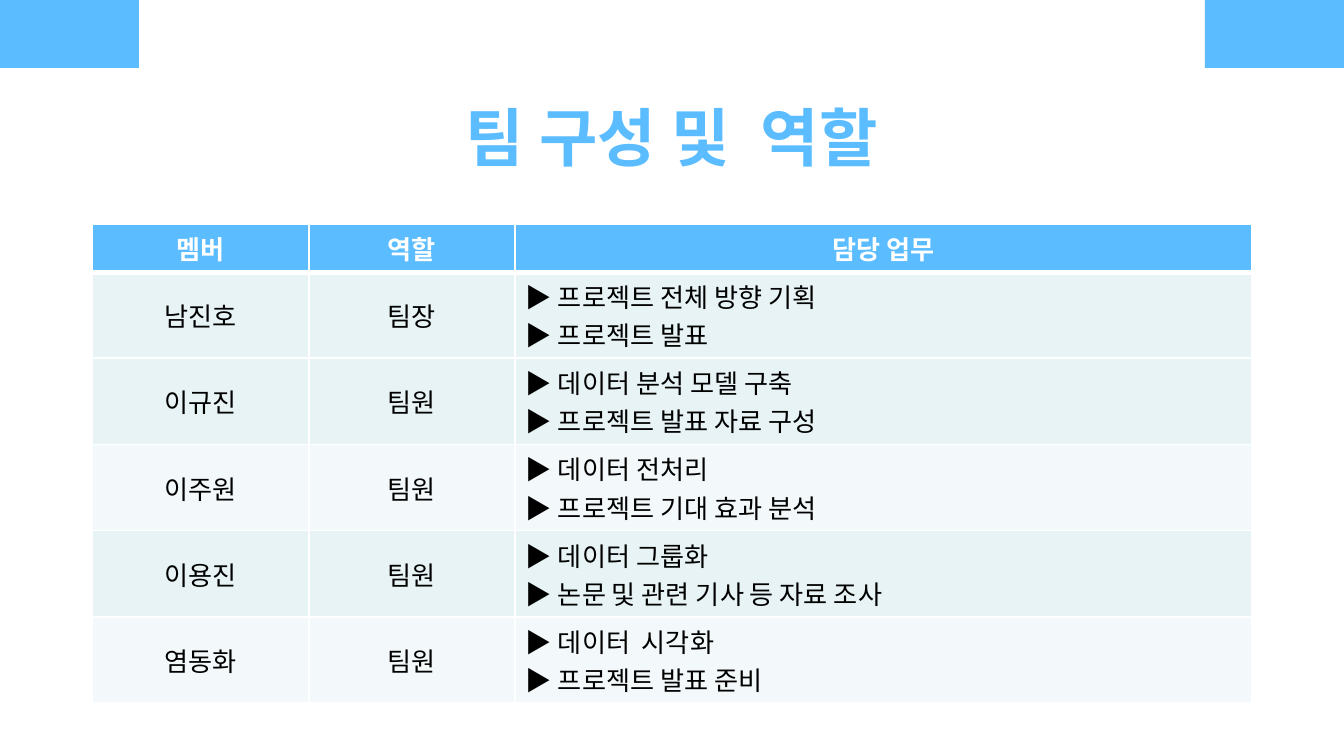
from lxml import etree
from pptx import Presentation
from pptx.dml.color import RGBColor
from pptx.enum.shapes import MSO_SHAPE
from pptx.enum.text import MSO_ANCHOR, MSO_AUTO_SIZE, PP_ALIGN
from pptx.oxml.ns import qn
from pptx.util import Pt

RECT = MSO_SHAPE.RECTANGLE
TOP, MIDDLE = MSO_ANCHOR.TOP, MSO_ANCHOR.MIDDLE
NO_FIT = MSO_AUTO_SIZE.NONE
LEFT, CENTER = PP_ALIGN.LEFT, PP_ALIGN.CENTER

TITLE = "팀 구성 및  역할"
HEADER = ("멤버", "역할", "담당 업무")
MEMBERS = [
    ("남진호", "팀장", ("프로젝트 전체 방향 기획", "프로젝트 발표")),
    ("이규진", "팀원", ("데이터 분석 모델 구축", "프로젝트 발표 자료 구성")),
    ("이주원", "팀원", ("데이터 전처리", "프로젝트 기대 효과 분석")),
    ("이용진", "팀원", ("데이터 그룹화", "논문 및 관련 기사 등 자료 조사")),
    ("염동화", "팀원", ("데이터  시각화", "프로젝트 발표 준비")),
]

THEME = {
    "accent": "5BBDFF", "white": "FFFFFF", "text": "000000",
    "bands": ("E7F3F4", "E7F3F4", "F3F9FA", "E7F3F4", "F3F9FA"),
    "title_font": "Roboto", "body_font": "Noto Sans CJK KR",
    "title_size": 34, "body_size": 14, "thin": 1, "thick": 3,
}

SLIDE_W, SLIDE_H = 1344, 756
TITLE_BOX = (124, 85, 1095, 85)
CORNER_W, CORNER_H = 139, 68
TABLE_X, TABLE_Y = 92, 224
COLS = (217, 206, 737)
HEAD_H, ROW_H = 45, 79
TITLE_INSET, CELL_INSET_X, CELL_INSET_Y = 13, 11, 5


def px(n):
    return round(n * 9144000 / SLIDE_W)


def color(name):
    return RGBColor.from_string(name)


def style(p, align, font, size, fill, bold):
    p.alignment = align
    for r in p.runs:
        r.font.name = font
        r.font.size = Pt(size)
        r.font.bold = bold
        r.font.color.rgb = color(fill)
        etree.SubElement(r.font._element, qn("a:ea"), typeface=font)


def add_borders(cell, row):
    widths = {side: THEME["thin"] for side in ("lnL", "lnR", "lnT", "lnB")}
    if row == 0:
        widths["lnB"] = THEME["thick"]
    elif row == 1:
        widths["lnT"] = THEME["thick"]
    tcPr = cell._tc.get_or_add_tcPr()
    for side, width in widths.items():
        ln = etree.SubElement(tcPr, qn(f"a:{side}"), w=str(Pt(width)))
        fill = etree.SubElement(ln, qn("a:solidFill"))
        etree.SubElement(fill, qn("a:srgbClr"), val=THEME["white"])


def fill_cell(cell, row, lines, align):
    head = row == 0
    cell.margin_left = cell.margin_right = px(CELL_INSET_X)
    cell.margin_top = cell.margin_bottom = px(CELL_INSET_Y)
    cell.vertical_anchor = MIDDLE
    add_borders(cell, row)
    cell.fill.solid()
    cell.fill.fore_color.rgb = color(THEME["accent"] if head else THEME["bands"][row - 1])
    cell.text_frame.text = "\n".join(lines)
    for p in cell.text_frame.paragraphs:
        style(p, align, THEME["body_font"], THEME["body_size"],
              THEME["white"] if head else THEME["text"], head)


def add_title(slide):
    sp = slide.shapes.title
    sp.left, sp.top, sp.width, sp.height = map(px, TITLE_BOX)
    tf = sp.text_frame
    tf.text = TITLE
    tf.word_wrap = True
    tf.auto_size = NO_FIT
    tf.vertical_anchor = TOP
    tf.margin_left = tf.margin_right = tf.margin_top = tf.margin_bottom = px(TITLE_INSET)
    style(tf.paragraphs[0], CENTER, THEME["title_font"], THEME["title_size"],
          THEME["accent"], True)


def add_corners(slide):
    for x in (0, SLIDE_W - CORNER_W):
        sp = slide.shapes.add_shape(RECT, px(x), 0, px(CORNER_W), px(CORNER_H))
        sp.shadow.inherit = False
        sp.fill.solid()
        sp.fill.fore_color.rgb = color(THEME["accent"])
        sp.line.fill.background()


def add_members(slide):
    heights = [HEAD_H] + [ROW_H] * len(MEMBERS)
    table = slide.shapes.add_table(
        len(heights), len(COLS), px(TABLE_X), px(TABLE_Y),
        px(sum(COLS)), px(sum(heights))).table
    for col, w in zip(table.columns, COLS):
        col.width = px(w)
    for row, h in zip(table.rows, heights):
        row.height = px(h)
    for c, label in enumerate(HEADER):
        fill_cell(table.cell(0, c), 0, [label], CENTER)
    for i, (name, role, tasks) in enumerate(MEMBERS, 1):
        fill_cell(table.cell(i, 0), i, [name], CENTER)
        fill_cell(table.cell(i, 1), i, [role], CENTER)
        fill_cell(table.cell(i, 2), i, [f"▶ {task}" for task in tasks], LEFT)


def main():
    prs = Presentation()
    prs.slide_width, prs.slide_height = px(SLIDE_W), px(SLIDE_H)
    slide = prs.slides.add_slide(prs.slide_layouts[5])
    add_title(slide)
    add_corners(slide)
    add_members(slide)
    prs.save("out.pptx")


if __name__ == "__main__":
    main()
